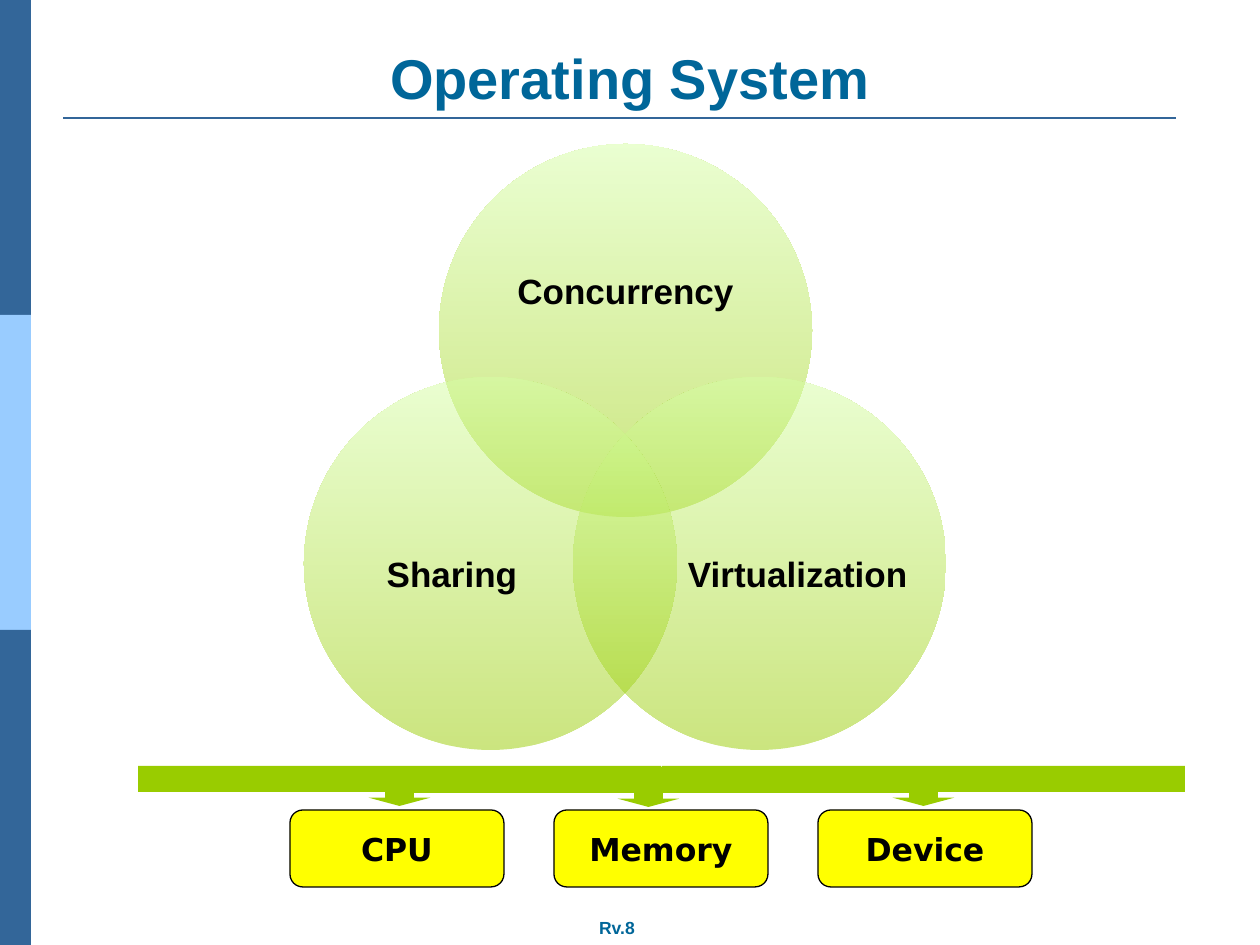
from lxml.etree import SubElement
from pptx import Presentation
from pptx.dml.color import RGBColor
from pptx.enum.shapes import MSO_CONNECTOR, MSO_SHAPE
from pptx.enum.text import MSO_ANCHOR, PP_ALIGN
from pptx.oxml.ns import qn
from pptx.util import Pt

EMU_PER_PX = 914400 / 126
BLUE = RGBColor(0x33, 0x66, 0x99)
LIGHT_BLUE = RGBColor(0x99, 0xCC, 0xFF)
TITLE_BLUE = RGBColor(0x00, 0x66, 0x99)
GREEN = RGBColor(0x99, 0xCC, 0x00)
PALE_GREEN = RGBColor(0xD6, 0xFF, 0xA5)
YELLOW = RGBColor(0xFF, 0xFF, 0x00)
BLACK = RGBColor(0x00, 0x00, 0x00)


def px(*values):
    return [round(v * EMU_PER_PX) for v in values]


class SlideBuilder:
    font_name = "Arial"
    label_font = "DejaVu Sans"

    def __init__(self, s):
        self.s = s

    def shape(self, kind, box, fill=None, line=None, adj=()):
        sp = self.s.shapes.add_shape(kind, *px(*box))
        sp.shadow.inherit = False
        for i, value in enumerate(adj):
            sp.adjustments[i] = value
        if fill is not None:
            sp.fill.solid()
            sp.fill.fore_color.rgb = fill
        if line is None:
            sp.line.fill.background()
        else:
            sp.line.color.rgb = line
            sp.line.width = Pt(0.75)
        return sp

    def circle(self, box):
        sp = self.shape(MSO_SHAPE.OVAL, box)
        sp.fill.gradient()
        sp.fill.gradient_angle = 90
        stops = sp.fill.gradient_stops
        for stop, color, position in zip(stops, (GREEN, PALE_GREEN), (0, 1)):
            stop.color.rgb = color
            stop.position = position
        for clr in sp.element.spPr.iter(qn("a:srgbClr")):
            SubElement(clr, qn("a:alpha"), val="50000")

    def rule(self, x1, y1, x2, y2, color):
        cxn = self.s.shapes.add_connector(MSO_CONNECTOR.STRAIGHT, *px(x1, y1, x2, y2))
        cxn.line.color.rgb = color
        cxn.line.width = Pt(1.5)
        SubElement(cxn.element.spPr, qn("a:effectLst"))

    def add_text(self, sp, text, size, color, font=None, align=PP_ALIGN.CENTER,
                 spacing=None, **frame):
        tf = sp.text_frame
        for name, value in frame.items():
            setattr(tf, name, value)
        p = tf.paragraphs[0]
        p.alignment = align
        p.line_spacing = spacing
        r = p.add_run()
        r.text = text
        r.font.color.rgb = color
        style = {"name": font or self.font_name, "size": Pt(size), "bold": True}
        for name, value in style.items():
            setattr(r.font, name, value)

    def text(self, box, text, size, color, **style):
        self.add_text(self.s.shapes.add_textbox(*px(*box)), text, size, color, **style)

    def circle_label(self, box, text, align):
        margins = dict.fromkeys(
            ("margin_left", "margin_top", "margin_right", "margin_bottom"), 0)
        self.text(box, text, 20, BLACK, align=align, spacing=0.9, word_wrap=True,
                  vertical_anchor=MSO_ANCHOR.MIDDLE, **margins)

    def resource(self, box, text):
        sp = self.shape(MSO_SHAPE.ROUNDED_RECTANGLE, box, YELLOW, BLACK, (0.167,))
        self.add_text(sp, text, 18, BLACK, self.label_font, word_wrap=False,
                      vertical_anchor=MSO_ANCHOR.MIDDLE)


def main():
    prs = Presentation()
    prs.slide_width, prs.slide_height = px(1260, 945)
    b = SlideBuilder(prs.slides.add_slide(prs.slide_layouts[6]))

    # Side bar, title rule and footer
    for i, color in enumerate((BLUE, LIGHT_BLUE, BLUE)):
        b.shape(MSO_SHAPE.RECTANGLE, (0, i * 315, 31, 315), color)
    b.rule(63, 118, 1176, 118, BLUE)
    b.text((580, 911, 74, 34), "Rv.8", 10, TITLE_BLUE, word_wrap=False)

    # Title
    b.text((63, 38, 1134, 79), "Operating System", 32, TITLE_BLUE,
           word_wrap=True, vertical_anchor=MSO_ANCHOR.BOTTOM)

    # Overlapping circles
    for x, y, label_box, label, align in (
        (439, 144, (489, 209, 273, 168), "Concurrency", PP_ALIGN.CENTER),
        (573, 377, (688, 474, 224, 205), "Virtualization", PP_ALIGN.LEFT),
        (304, 377, (340, 474, 224, 205), "Sharing", PP_ALIGN.CENTER),
    ):
        b.circle((x, y, 373, 373))
        b.circle_label(label_box, label, align)

    # Hardware resources
    for i, name in enumerate(("CPU", "Memory", "Device")):
        b.resource((290 + i * 264, 810, 214, 77), name)

    # Arrow bar down to the resources
    for x, y in ((138, 766), (387, 767), (662, 766)):
        b.shape(MSO_SHAPE.DOWN_ARROW_CALLOUT, (x, y, 523, 40), GREEN,
                adj=(0.719, 0.77, 0.206, 0.65))

    prs.save("out.pptx")


if __name__ == "__main__":
    main()
